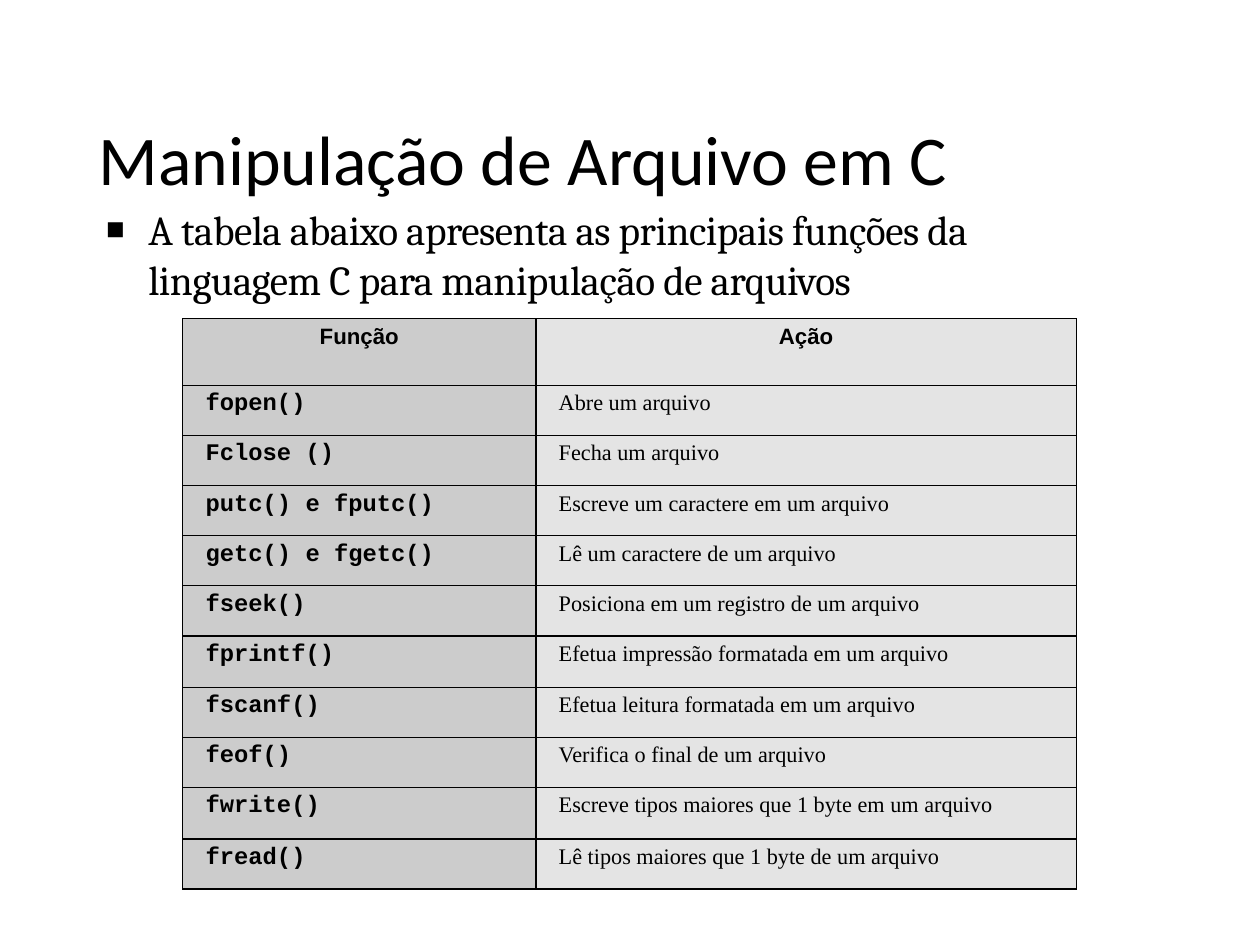
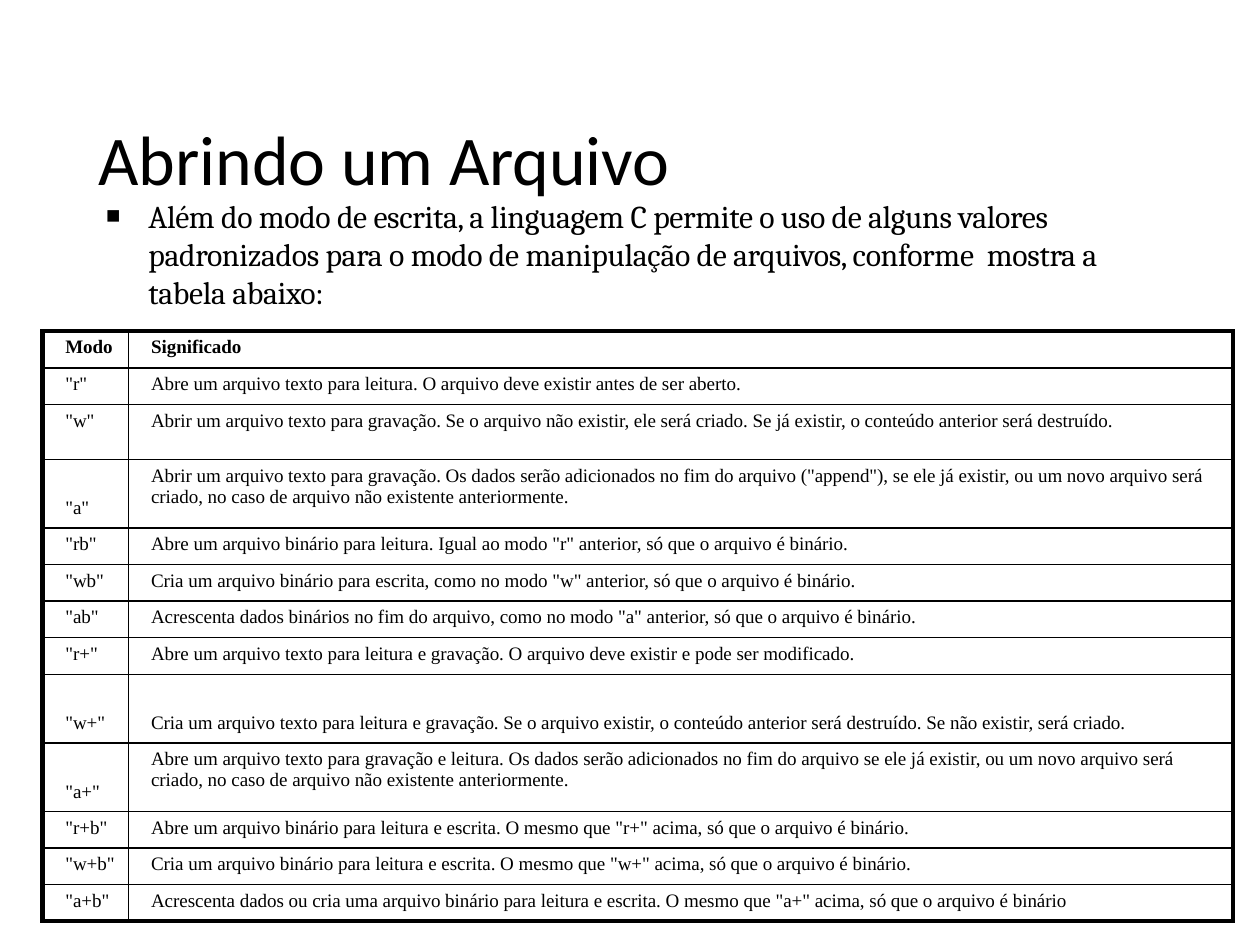
from lxml.etree import SubElement
from pptx import Presentation
from pptx.dml.color import RGBColor
from pptx.enum.text import MSO_ANCHOR, MSO_AUTO_SIZE, PP_ALIGN
from pptx.oxml.ns import qn
from pptx.util import Pt

# Content
FUNCTIONS = {
    "title": "Manipulação de Arquivo em C",
    "intro": "A tabela abaixo apresenta as principais funções da linguagem C "
             "para manipulação de arquivos",
    "rows": [
        ("Função", "Ação"),
        ("fopen()", "Abre um arquivo"),
        ("Fclose ()", "Fecha um arquivo"),
        ("putc() e fputc()", "Escreve um caractere em um arquivo"),
        ("getc() e fgetc()", "Lê um caractere de um arquivo"),
        ("fseek()", "Posiciona em um registro de um arquivo"),
        ("fprintf()", "Efetua impressão formatada em um arquivo"),
        ("fscanf()", "Efetua leitura formatada em um arquivo"),
        ("feof()", "Verifica o final de um arquivo"),
        ("fwrite()", "Escreve tipos maiores que 1 byte em um arquivo"),
        ("fread()", "Lê tipos maiores que 1 byte de um arquivo"),
    ],
}
MODES = {
    "title": "Abrindo um Arquivo",
    "intro": "Além do modo de escrita, a linguagem C permite o uso de alguns valores "
             "padronizados para o modo de manipulação de arquivos, conforme  mostra a "
             "tabela abaixo:",
    "rows": [
        ("Modo", "Significado"),
        ('"r"', "Abre um arquivo texto para leitura. O arquivo deve existir antes de "
                "ser aberto."),
        ('"w"', "Abrir um arquivo texto para gravação. Se o arquivo não existir, ele "
                "será criado. Se já existir, o conteúdo anterior será destruído."),
        ('"a"', 'Abrir um arquivo texto para gravação. Os dados serão adicionados no '
                'fim do arquivo ("append"), se ele já existir, ou um novo arquivo será '
                'criado, no caso de arquivo não existente anteriormente.'),
        ('"rb"', 'Abre um arquivo binário para leitura. Igual ao modo "r" anterior, '
                 'só que o arquivo é binário.'),
        ('"wb"', 'Cria um arquivo binário para escrita, como no modo "w" anterior, '
                 'só que o arquivo é binário.'),
        ('"ab"', 'Acrescenta dados binários no fim do arquivo, como no modo "a" '
                 'anterior, só que o arquivo é binário.'),
        ('"r+"', "Abre um arquivo texto para leitura e gravação. O arquivo deve existir "
                 "e pode ser modificado."),
        ('"w+"', "Cria um arquivo texto para leitura e gravação. Se o arquivo existir, "
                 "o conteúdo anterior será destruído. Se não existir, será criado."),
        ('"a+"', "Abre um arquivo texto para gravação e leitura. Os dados serão "
                 "adicionados no fim do arquivo se ele já existir, ou um novo arquivo "
                 "será criado, no caso de arquivo não existente anteriormente."),
        ('"r+b"', 'Abre um arquivo binário para leitura e escrita. O mesmo que "r+" '
                  'acima, só que o arquivo é binário.'),
        ('"w+b"', 'Cria um arquivo binário para leitura e escrita. O mesmo que "w+" '
                  'acima, só que o arquivo é binário.'),
        ('"a+b"', 'Acrescenta dados ou cria uma arquivo binário para leitura e escrita. '
                  'O mesmo que "a+" acima, só que o arquivo é binário'),
    ],
}

# Shared look
BLACK = RGBColor(0x00, 0x00, 0x00)
NAME_GREY = RGBColor(0xCC, 0xCC, 0xCC)
ACTION_GREY = RGBColor(0xE4, 0xE4, 0xE4)
SLIDE_WIDTH, SLIDE_HEIGHT = Pt(794), Pt(595)
TITLE_BOX = (61.2, 72, 540, 100)
TITLE_FONT = {"name": "Calibri", "size": Pt(44), "bold": False}
FRAME = {"margin_left": 0, "margin_top": Pt(0.72), "margin_right": 0,
         "margin_bottom": 0, "word_wrap": True, "auto_size": MSO_AUTO_SIZE.NONE,
         "vertical_anchor": MSO_ANCHOR.TOP}
TITLE_INDENT = {"marL": str(Pt(1)), "indent": "0"}
INTRO_INDENT = {"marL": str(Pt(28)), "indent": str(Pt(-26.6))}
CELL_INDENT = {"marL": str(Pt(7.2)), "indent": "0"}
THIN, THICK = 0.96, 3
CELL_TOP, LOWERED_TOP = 3.6, 24.3

# Look of each slide
FUNCTIONS_LOOK = {
    "intro_box": (65.5, 128.2, 587.5, 63.4), "intro_size": 26, "intro_spacing": -0.3,
    "table_at": (115.2, 200.9), "columns": (222.5, 340.5), "edge": THIN,
    "heights": [42] + [31.6] * 10, "cell_spacing": 0,
    "header_font": {"name": "Arial", "size": Pt(14), "bold": True},
    "header_align": PP_ALIGN.CENTER,
    "fonts": ({"name": "Courier New", "size": Pt(15), "bold": True},
              {"name": "Times New Roman", "size": Pt(14), "bold": False}),
    "fills": (NAME_GREY, ACTION_GREY), "lowered": (), "tight": (),
}
FUNCTIONS_LOOK["heights"][6] = FUNCTIONS_LOOK["heights"][9] = 32.4
MODE_FONT = {"name": "Times New Roman", "size": Pt(12), "bold": False}
MODES_LOOK = {
    "intro_box": (65.5, 123.1, 653, 72.7), "intro_size": 20, "intro_spacing": -0.22,
    "table_at": (26.8, 208.8), "columns": (54, 696.2), "edge": THICK,
    "heights": [23.1, 23.1, 34.6, 43.2] + [23.1] * 4 + [43.2] * 2 + [23.1] * 3,
    "cell_spacing": -0.03,
    "header_font": {**MODE_FONT, "bold": True}, "header_align": PP_ALIGN.LEFT,
    "fonts": (MODE_FONT, MODE_FONT), "fills": (None, None),
    # cells (row, column) whose text starts lower, or has fixed line spacing
    "lowered": ((3, 0), (8, 0), (8, 1), (9, 0)), "tight": ((3, 1), (9, 1)),
}


def apply(target, values):
    for name, value in values.items():
        setattr(target, name, value)


def write(frame, text, font, spacing, indent=None):
    """Put one formatted paragraph into a text frame and return it."""
    paragraph = frame.paragraphs[0]
    run = paragraph.add_run()
    run.text = text
    apply(run.font, font)
    run.font.color.rgb = BLACK
    run.font._element.set("spc", str(round(spacing * 100)))
    for name, value in (indent or {}).items():
        paragraph._p.get_or_add_pPr().set(name, value)
    return paragraph


def place(shape, box):
    apply(shape, dict(zip(("left", "top", "width", "height"), map(Pt, box))))
    apply(shape.text_frame, FRAME)


def add_title(slide, text):
    title = slide.shapes.title
    place(title, TITLE_BOX)
    paragraph = write(title.text_frame, text, TITLE_FONT, -0.08, TITLE_INDENT)
    paragraph.alignment = PP_ALIGN.LEFT


def add_intro(slide, text, look):
    intro = slide.shapes.add_textbox(0, 0, 0, 0)
    place(intro, look["intro_box"])
    font = {"name": "Cambria", "size": Pt(look["intro_size"])}
    paragraph = write(intro.text_frame, text, font, look["intro_spacing"], INTRO_INDENT)
    # Square bullet
    properties = paragraph._p.get_or_add_pPr()
    colour = SubElement(properties, qn("a:buClr"))
    SubElement(colour, qn("a:srgbClr"), val=str(BLACK))
    SubElement(properties, qn("a:buSzPct"), val="75000")
    SubElement(properties, qn("a:buFont"), typeface="Times New Roman")
    SubElement(properties, qn("a:buChar"), char="■")


def add_borders(cell, widths):
    properties = cell._tc.get_or_add_tcPr()
    for side, width in widths.items():
        line = SubElement(properties, qn("a:ln" + side), w=str(Pt(width)))
        fill = SubElement(line, qn("a:solidFill"))
        SubElement(fill, qn("a:srgbClr"), val=str(BLACK))


def add_grid(slide, rows, look):
    columns, heights, edge = look["columns"], look["heights"], look["edge"]
    box = (*look["table_at"], sum(columns), sum(heights))
    table = slide.shapes.add_table(len(rows), len(columns), *map(Pt, box)).table
    apply(table, {"first_row": False, "horz_banding": False})
    for column, width in zip(table.columns, columns):
        column.width = Pt(width)
    for row, height in zip(table.rows, heights):
        row.height = Pt(height)

    last_row, last_column = len(rows) - 1, len(columns) - 1
    for r, texts in enumerate(rows):
        for c, text in enumerate(texts):
            cell = table.cell(r, c)
            add_borders(cell, {"L": edge if c == 0 else THIN,
                               "R": edge if c == last_column else THIN,
                               "T": edge if r == 0 else THIN,
                               "B": edge if r == last_row else THIN})
            if look["fills"][c] is None:
                cell.fill.background()
            else:
                cell.fill.solid()
                cell.fill.fore_color.rgb = look["fills"][c]
            cell.margin_top = Pt(LOWERED_TOP if (r, c) in look["lowered"] else CELL_TOP)
            centred = r == 0 and look["header_align"] == PP_ALIGN.CENTER
            paragraph = write(cell.text_frame, text,
                              look["fonts"][c] if r else look["header_font"],
                              look["cell_spacing"], None if centred else CELL_INDENT)
            if r == 0:
                paragraph.alignment = look["header_align"]
            if (r, c) in look["tight"]:
                paragraph.line_spacing = Pt(13.4)


def main():
    deck = Presentation()
    deck.slide_width = SLIDE_WIDTH
    deck.slide_height = SLIDE_HEIGHT
    for content, look in ((FUNCTIONS, FUNCTIONS_LOOK), (MODES, MODES_LOOK)):
        slide = deck.slides.add_slide(deck.slide_layouts[5])
        add_title(slide, content["title"])
        add_intro(slide, content["intro"], look)
        add_grid(slide, content["rows"], look)
    deck.save("out.pptx")


if __name__ == "__main__":
    main()
